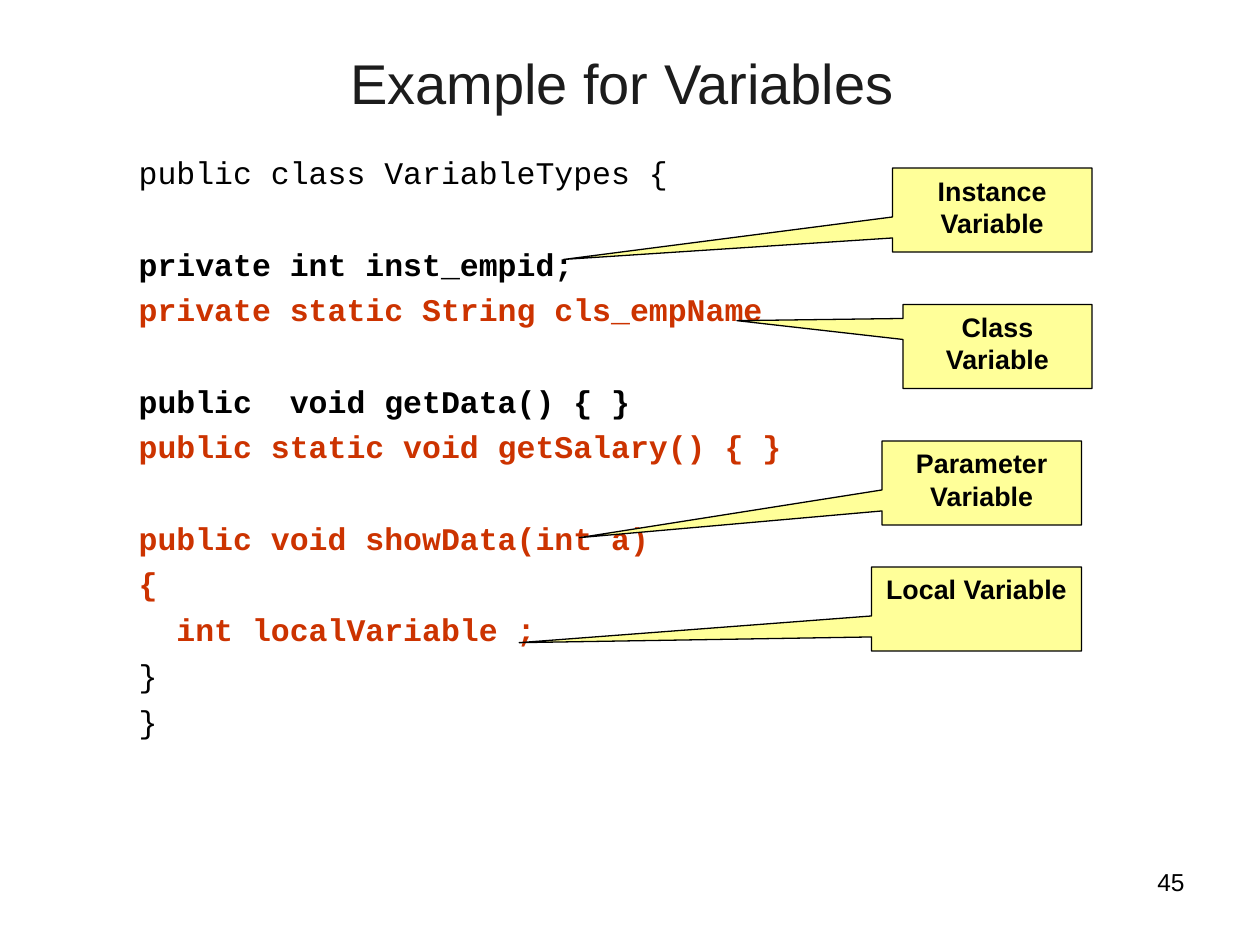
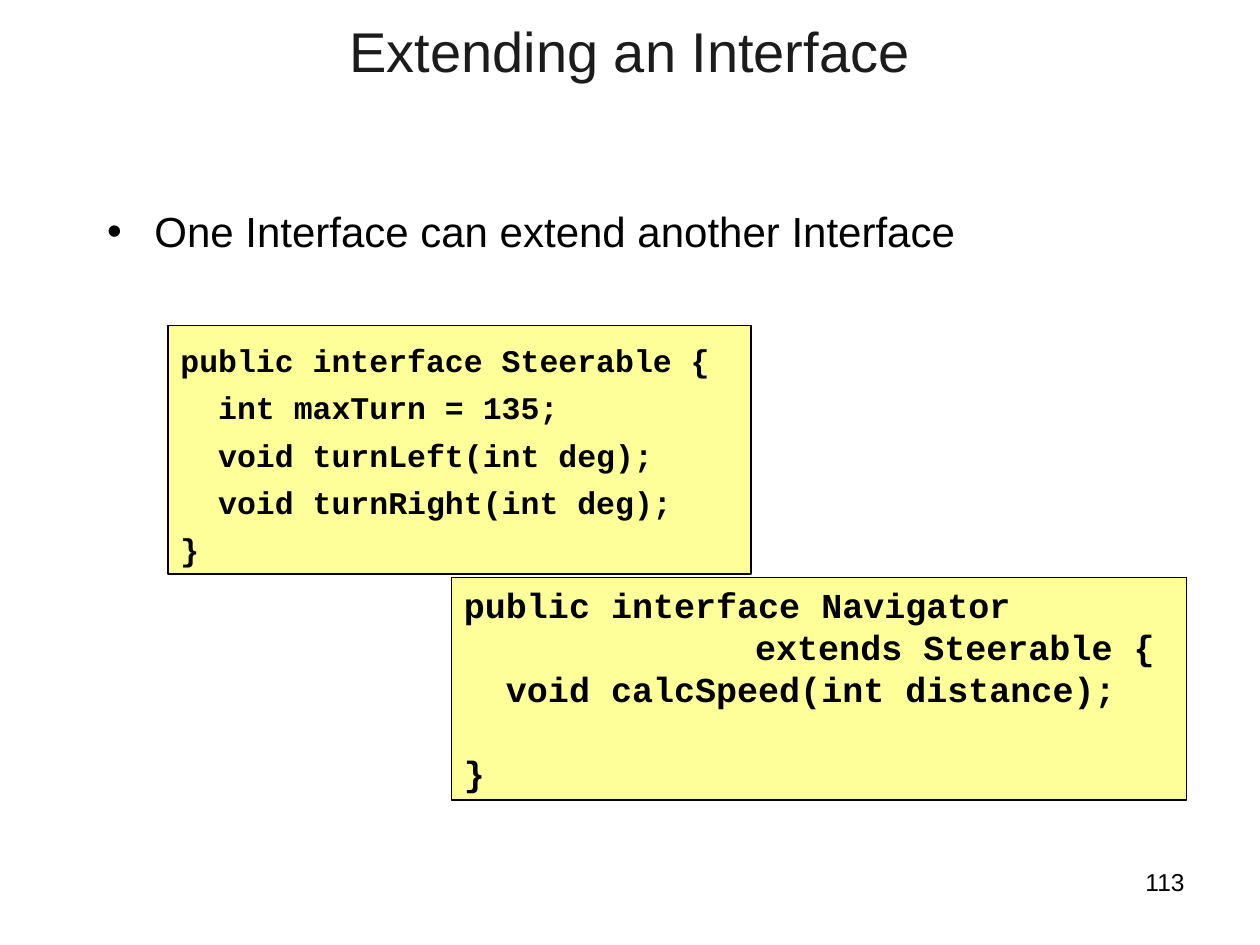
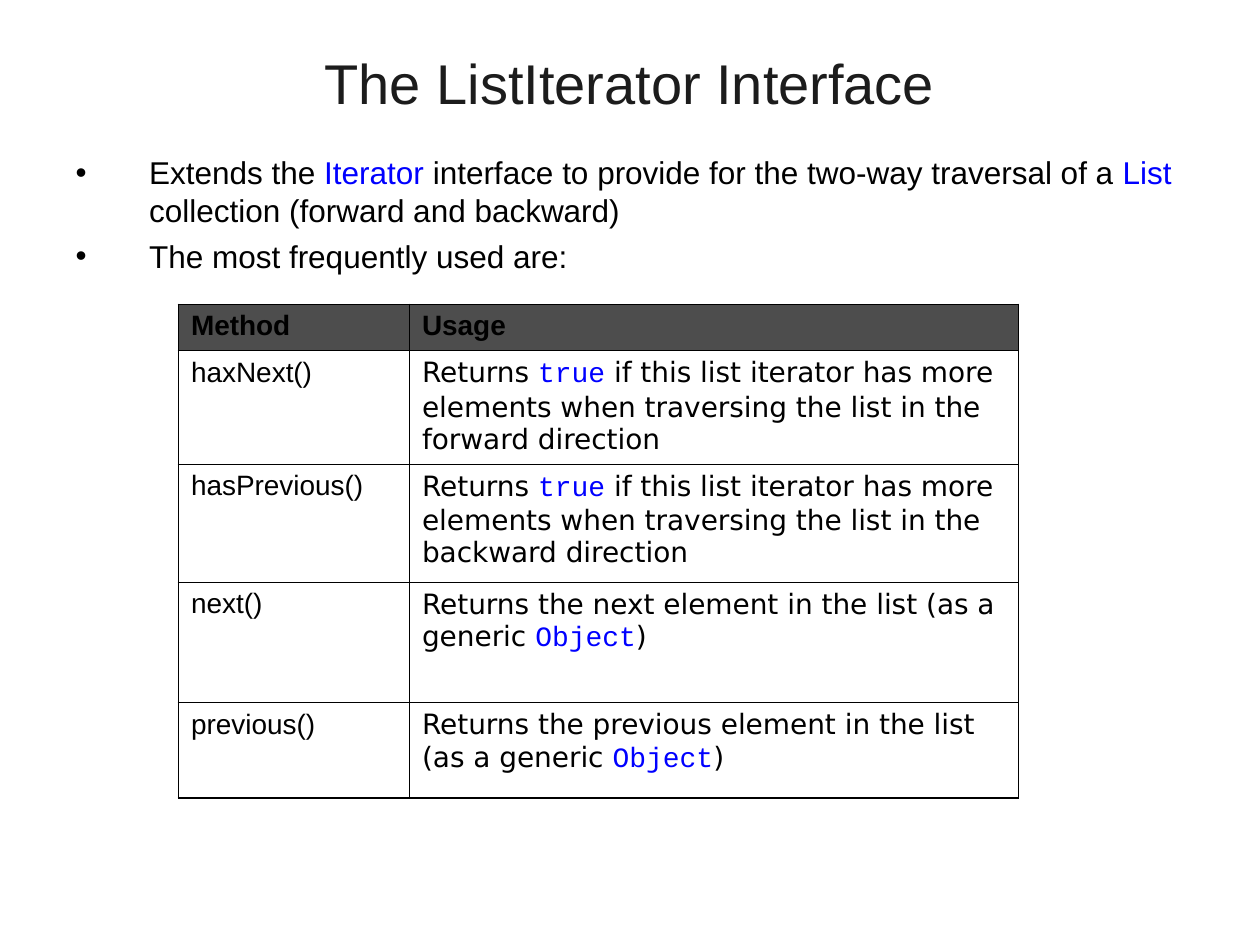
from dataclasses import dataclass
from typing import NamedTuple

from pptx import Presentation
from pptx.dml.color import RGBColor
from pptx.enum.shapes import MSO_SHAPE as Shape
from pptx.enum.text import MSO_ANCHOR as Anchor, MSO_AUTO_SIZE as Fit, PP_ALIGN as Align
from pptx.oxml.ns import qn
from pptx.util import Pt
from lxml.etree import SubElement as Sub

BLACK = RGBColor(0x00, 0x00, 0x00)
INK = RGBColor(0x1C, 0x1C, 0x1C)
RED = RGBColor(0xCC, 0x33, 0x00)
BLUE = RGBColor(0x00, 0x00, 0xFF)
CREAM = RGBColor(0xFF, 0xFF, 0x99)
GREY = RGBColor(0x4D, 0x4D, 0x4D)
SANS, MONO, DEJA = "Arial", "Courier New", "DejaVu Sans"
TITLE_TOP = 21.6


class Run(NamedTuple):
    text: str
    color: RGBColor = BLACK
    font: str = SANS
    bold: bool = False


class Box(NamedTuple):
    left: float
    top: float
    width: float
    height: float


@dataclass
class Line:
    runs: list[Run]
    gap: float = 0


@dataclass
class Callout:
    text: str
    box: Box
    tip: tuple[float, float]


@dataclass
class Code:
    lines: list[Line]
    box: Box
    size: float
    pitch: float


BODY = Box(36, 84, 648, 398)


def code(text: str, color: RGBColor = BLACK, bold: bool = True, gap: float = 0) -> Line:
    return Line([Run(text, color, MONO, bold)], gap)


def style(run, look: Run, size: float) -> None:
    font = run.font
    font.name, font.size, font.bold = look.font, Pt(size), look.bold
    font.color.rgb = look.color


def write(frame, lines: list[Line], size: float, align=Align.LEFT) -> list:
    """Fill a text frame and return its paragraphs."""
    frame.text = "\n".join("" for _ in lines)
    for para, line in zip(frame.paragraphs, lines):
        para.alignment = align
        para.space_before = Pt(line.gap)
        for look in line.runs:
            run = para.add_run()
            run.text = look.text
            style(run, look, size)
    return list(frame.paragraphs)


def place(shape, box: Box) -> None:
    shape.left, shape.top, shape.width, shape.height = map(Pt, box)


def indent(para, left: float, hang: float, bullet: str = "") -> None:
    props = para._p.get_or_add_pPr()
    props.set("marL", str(Pt(left)))
    props.set("indent", str(-Pt(hang)))
    if bullet:
        Sub(Sub(props, qn("a:buClr")), qn("a:srgbClr"), val=str(BLACK))
        Sub(props, qn("a:buFont"), typeface=SANS)
        Sub(props, qn("a:buChar"), char=bullet)
    else:
        Sub(props, qn("a:buNone"))


def add_slide(deck, title: str, top: float = TITLE_TOP, number: str = ""):
    slide = deck.slides.add_slide(deck.slide_layouts[1])
    head = slide.shapes.title
    place(head, Box(36, top, 648, 50.4))
    frame = head.text_frame
    frame.auto_size, frame.vertical_anchor = Fit.NONE, Anchor.MIDDLE
    write(frame, [Line([Run(title, INK)])], 32, Align.CENTER)
    if number:
        note = slide.shapes.add_textbox(Pt(516), Pt(492), Pt(168), Pt(37.5))
        note.text_frame.word_wrap = True
        write(note.text_frame, [Line([Run(number)])], 14, Align.RIGHT)
    return slide


def add_body(slide, box: Box, lines: list[Line], size: float) -> list:
    body = slide.placeholders[1]
    place(body, box)
    body.text_frame.auto_size = Fit.NONE
    return write(body.text_frame, lines, size)


def add_panel(slide, kind, box: Box, weight: float):
    """Draw a cream shape with a black outline and top text."""
    shape = slide.shapes.add_shape(kind, *map(Pt, box))
    shape.shadow.inherit = False
    shape.fill.solid()
    shape.fill.fore_color.rgb = CREAM
    shape.line.color.rgb = BLACK
    shape.line.width = Pt(weight)
    shape.text_frame.word_wrap = True
    shape.text_frame.vertical_anchor = Anchor.TOP
    return shape


def add_callout(slide, item: Callout) -> None:
    shape = add_panel(slide, Shape.RECTANGULAR_CALLOUT, item.box, 0.75)
    shape.adjustments[0], shape.adjustments[1] = item.tip
    write(shape.text_frame, [Line([Run(item.text, bold=True)])], 15.3, Align.CENTER)


def add_code(slide, item: Code) -> None:
    frame = add_panel(slide, Shape.RECTANGLE, item.box, 1).text_frame
    frame.auto_size = Fit.SHAPE_TO_FIT_TEXT
    for para in write(frame, item.lines, item.size):
        tabs = Sub(para._p.get_or_add_pPr(), qn("a:tabLst"))
        Sub(tabs, qn("a:tab"), pos=str(Pt(58.3)), algn="l")
        para.line_spacing = item.pitch


def edge(cell, side: str, weight: float) -> None:
    line = Sub(cell._tc.get_or_add_tcPr(), qn(f"a:ln{side}"), w=str(Pt(weight)))
    Sub(Sub(line, qn("a:solidFill")), qn("a:srgbClr"), val=str(BLACK))


def add_grid(slide, box: Box, cols: list[float], heights: list[float],
             rows: list[list[list[Run]]]) -> None:
    table = slide.shapes.add_table(len(rows), len(cols), *map(Pt, box)).table
    table.first_row = table.horz_banding = False
    for col, width in zip(table.columns, cols):
        col.width = Pt(width)
    for r, (row, height) in enumerate(zip(rows, heights)):
        table.rows[r].height = Pt(height)
        for c, runs in enumerate(row):
            cell = table.cell(r, c)
            outer = {"L": c == 0, "R": c == len(cols) - 1,
                     "T": r == 0, "B": r == len(rows) - 1}
            for side, rim in outer.items():
                edge(cell, side, 1.08 if rim else 0.45)
            if r == 0:
                cell.fill.solid()
                cell.fill.fore_color.rgb = GREY
            else:
                cell.fill.background()
            write(cell.text_frame, [Line(runs)], 16)


def usage(before: str, word: str, after: str) -> list[Run]:
    return [Run(before, font=DEJA), Run(word, BLUE, MONO), Run(after, font=DEJA)]


def more(way: str) -> list[Run]:
    return usage("Returns ", "true", " if this list iterator has more elements "
                 f"when traversing the list in the {way} direction")


def fetch(way: str) -> list[Run]:
    return usage(f"Returns the {way} element in the list (as a generic ", "Object", ")")


# Variables: code with callouts
STEP, SKIP = 4.5, 30.6
VARS = [
    code("public class VariableTypes {", bold=False),
    code("private int inst_empid;", gap=SKIP),
    code("private static String cls_empName", RED, gap=STEP),
    code("public  void getData() { }", gap=SKIP),
    code("public static void getSalary() { }", RED, gap=STEP),
    code("public void showData(int a)", RED, gap=SKIP),
    code("{", RED, gap=STEP),
    code("  int localVariable ;", RED, gap=STEP),
    code("}", bold=False, gap=STEP),
    code("}", bold=False, gap=STEP),
]
CALLS = [
    Callout("Instance Variable", Box(510, 96, 114, 48), (-2.148, 0.589)),
    Callout("Local Variable", Box(498, 324, 120, 48), (-2.178, 0.401)),
    Callout("Parameter Variable", Box(504, 252, 114, 48), (-2.016, 0.651)),
    Callout("Class Variable", Box(516, 174, 108, 48), (-1.378, -0.307)),
]

# Interfaces: two code panels
PANELS = [
    Code([code("public interface Steerable {"),
          code("  int maxTurn = 135;"),
          code("  void turnLeft(int deg);"),
          code("  void turnRight(int deg);"),
          code("}")], Box(96, 186, 333, 142), 18, 1.25),
    Code([code("public interface Navigator"),
          code("\t         extends Steerable {"),
          code("  void calcSpeed(int distance);"),
          code("}", gap=24)], Box(258, 330, 420, 127), 20, 1),
]

# ListIterator: bullets and method table
POINTS = [
    Line([Run("Extends the "), Run("Iterator", BLUE),
          Run(" interface to provide for the two-way traversal of a "),
          Run("List", BLUE), Run(" collection (forward and backward)")]),
    Line([Run("The most frequently used are:")], STEP),
]
METHODS = [
    [[Run("Method", bold=True)], [Run("Usage", bold=True)]],
    [[Run("haxNext()")], more("forward")],
    [[Run("hasPrevious()")], more("backward")],
    [[Run("next()")], fetch("next")],
    [[Run("previous()")], fetch("previous")],
]


def main() -> None:
    deck = Presentation()
    deck.slide_width, deck.slide_height = Pt(720), Pt(540)

    slide = add_slide(deck, "Example for Variables ", number="45")
    for para in add_body(slide, BODY, VARS, 18):
        para.level = 1
        indent(para, 58.5, 22.5)
    for item in CALLS:
        add_callout(slide, item)

    slide = add_slide(deck, "Extending an Interface", 3.6, "113")
    point = Line([Run("One Interface can extend another Interface")])
    for para in add_body(slide, Box(54, 114, 612, 324), [point], 24):
        indent(para, 27, 27, "•")
    for item in PANELS:
        add_code(slide, item)

    slide = add_slide(deck, "The ListIterator Interface")
    for para in add_body(slide, BODY, POINTS, 18):
        indent(para, 42, 42, "•")
    add_grid(slide, Box(102, 174, 480, 282), [132, 348],
             [26.4, 64.8, 67.5, 68.9, 54.4], METHODS)

    deck.save("out.pptx")


if __name__ == "__main__":
    main()
